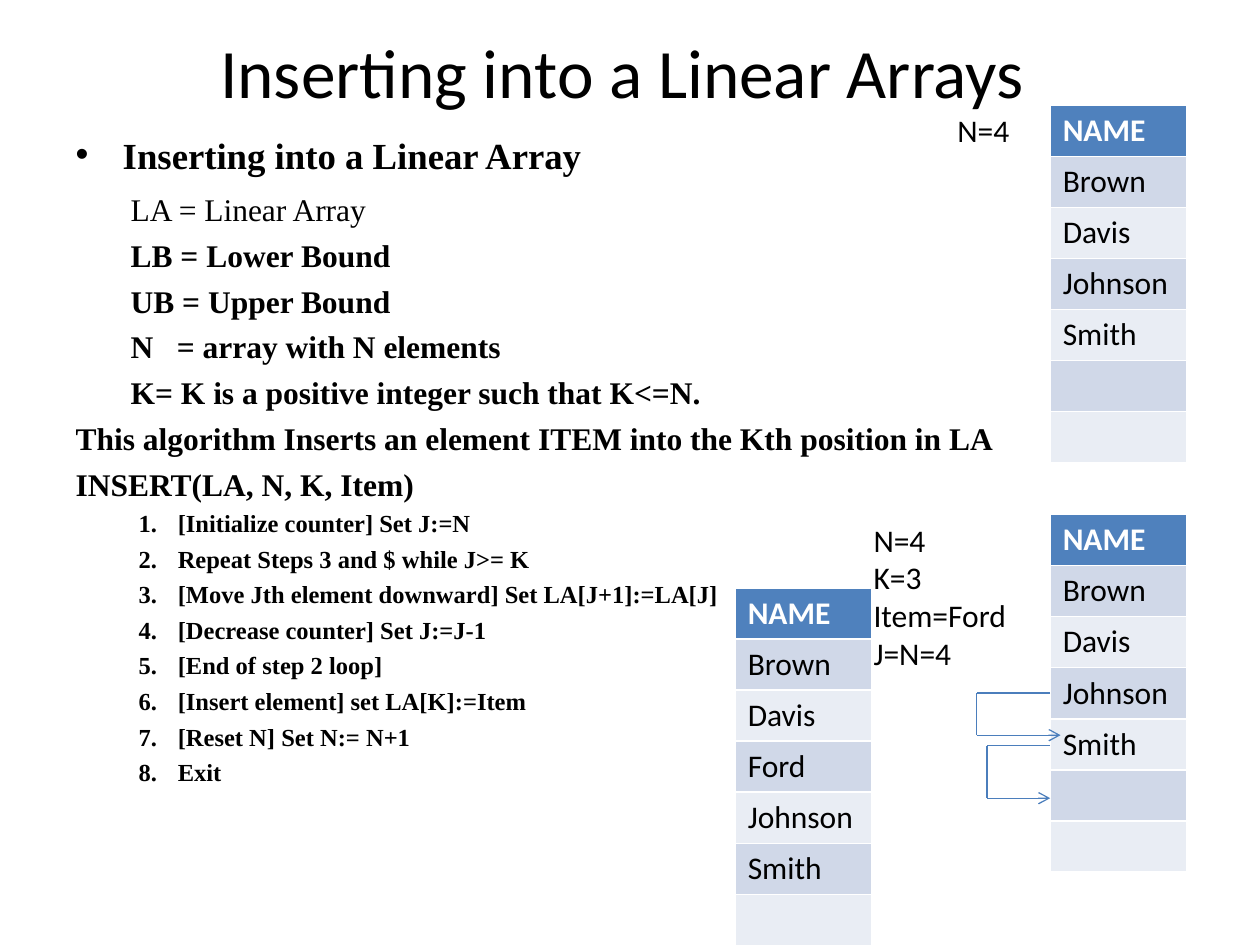
import pptx
import pptx.dml.color
import pptx.enum.shapes
import pptx.enum.text
import pptx.oxml.ns
import pptx.util
from lxml import etree
from pptx.util import Cm

COLORS = {
    "text": "000000",
    "header_text": "FFFFFF",
    "header": "4F81BD",
    "band_dark": "D0D8E8",
    "band_light": "E9EDF4",
    "arrow": "4B7EBC",
}
SERIF, SANS = "Times New Roman", "Calibri"
ROWS = 7

DEFINITIONS = [
    "LA = Linear Array",
    "LB = Lower Bound",
    "UB = Upper Bound",
    "N\t= array with N elements",
    "K= K is a positive integer such that K<=N.",
]
SUMMARY = [
    "This algorithm Inserts an element ITEM into the Kth position in LA",
    "INSERT(LA, N, K, Item)",
]
STEPS = [
    "[Initialize counter] Set J:=N",
    "Repeat Steps 3 and $ while J>= K",
    "[Move Jth element downward] Set LA[J+1]:=LA[J]",
    "[Decrease counter] Set J:=J-1",
    "[End of step 2 loop]",
    "[Insert element] set LA[K]:=Item",
    "[Reset N] Set N:= N+1",
    "Exit",
]


def rgb(name):
    return pptx.dml.color.RGBColor.from_string(COLORS[name])


def add_child(parent, tag, **attrs):
    return etree.SubElement(parent, pptx.oxml.ns.qn(tag), attrs)


def place(s, left, top, width, height):
    s.left, s.top, s.width, s.height = Cm(left), Cm(top), Cm(width), Cm(height)


def format_runs(p, size, font=SANS, color="text", bold=False):
    for r in p.runs:
        r.font.size = pptx.util.Pt(size)
        r.font.name = font
        r.font.bold = bold
        r.font.color.rgb = rgb(color)


def set_title(s, text):
    place(s, 1.27, 0.76, 22.86, 1.35)
    tf = s.text_frame
    tf.text = text
    tf.auto_size = pptx.enum.text.MSO_AUTO_SIZE.NONE
    tf.vertical_anchor = pptx.enum.text.MSO_ANCHOR.MIDDLE
    tf.paragraphs[0].alignment = pptx.enum.text.PP_ALIGN.CENTER
    format_runs(tf.paragraphs[0], 39.6)


def add_body_line(tf, text, size, margin, indent, bullet, bold=True, level=0, before=None):
    """Append a paragraph; bullet is a:buChar, a:buAutoNum or a:buNone."""
    p = tf.paragraphs[0] if not tf.text else tf.add_paragraph()
    p.text = text
    p.level = level
    p.alignment = pptx.enum.text.PP_ALIGN.JUSTIFY
    p.space_before = pptx.util.Pt(size / 4 if before is None else before)
    pPr = p._p.get_or_add_pPr()
    pPr.set("marL", str(Cm(margin)))
    pPr.set("indent", str(Cm(indent)))
    attrs = {"a:buChar": {"char": "•"}, "a:buAutoNum": {"type": "arabicPeriod"}}
    add_child(pPr, bullet, **attrs.get(bullet, {}))
    format_runs(p, size, SERIF, bold=bold)


def fill_body(s):
    place(s, 1.27, 2.54, 22.86, 15.67)
    tf = s.text_frame
    tf.auto_size = pptx.enum.text.MSO_AUTO_SIZE.NONE
    add_body_line(tf, "Inserting into a Linear Array", 21, 0.95, -0.95, "a:buChar")
    for i, text in enumerate(DEFINITIONS):
        hang = 0.93 if "\t" in text else 0
        add_body_line(tf, text, 18, 1.11 + hang, -hang, "a:buNone",
                      bold=i > 0, before=None if i else 8)
    for text in SUMMARY:
        add_body_line(tf, text, 18, 0, 0, "a:buNone")
    for text in STEPS:
        add_body_line(tf, text, 14, 2.06, -0.79, "a:buAutoNum", level=1)


def add_array(slide, left, top, names):
    """Draw the NAME array as one column, padded with empty cells."""
    frame = slide.shapes.add_table(ROWS, 1, Cm(left), Cm(top), Cm(2.75), Cm(1.03 * ROWS))
    for i, text in enumerate(["NAME"] + names):
        cell = frame.table.cell(i, 0)
        cell.text = text
        format_runs(cell.text_frame.paragraphs[0], 18, bold=i == 0,
                    color="text" if i else "header_text")
    for i in range(ROWS):
        fill = frame.table.cell(i, 0).fill
        fill.solid()
        fill.fore_color.rgb = rgb("header" if i == 0 else "band_dark" if i % 2 else "band_light")


def add_values(slide, left, top, width, height, lines):
    s = slide.shapes.add_textbox(Cm(left), Cm(top), Cm(width), Cm(height))
    tf = s.text_frame
    tf.word_wrap = True
    tf.text = "\n".join(lines)
    for p in tf.paragraphs:
        format_runs(p, 18)


def add_line(slide, start, end, arrow):
    s = slide.shapes.add_connector(pptx.enum.shapes.MSO_CONNECTOR.STRAIGHT,
                                   *map(Cm, start + end))
    s.line.color.rgb = rgb("arrow")
    s.line.width = pptx.util.Pt(0.75)
    if arrow:
        add_child(s.line._get_or_add_ln(), "a:tailEnd", type="arrow")
    add_child(s._element.spPr, "a:effectLst")


def add_move(slide, right, left, top, bottom, tip):
    """Draw a bracket from one array cell down to the next."""
    points = [(right, top), (left, top), (left, bottom), (tip, bottom)]
    for i in range(3):
        add_line(slide, points[i], points[i + 1], arrow=i == 2)


def main():
    prs = pptx.Presentation()
    prs.slide_width, prs.slide_height = Cm(25.4), Cm(19.05)
    slide = prs.slides.add_slide(prs.slide_layouts[1])
    set_title(slide.shapes.title, "Inserting into a Linear Arrays ")
    fill_body(slide.placeholders[1])

    before = ["Brown", "Davis", "Johnson", "Smith"]
    after = before[:2] + ["Ford"] + before[2:]
    add_array(slide, 21.17, 2.12, before)
    add_values(slide, 19.05, 2.12, 2.33, 1.8, ["N=4"])
    add_array(slide, 21.17, 10.37, before)
    add_values(slide, 17.36, 10.37, 3.39, 4.12, ["N=4", "K=3", "Item=Ford", "J=N=4"])
    add_move(slide, 21.17, 19.9, 15.03, 16.09, 21.17)
    add_move(slide, 21.17, 19.69, 13.97, 14.82, 21.38)
    add_array(slide, 14.82, 11.85, after)
    prs.save("out.pptx")


if __name__ == "__main__":
    main()
